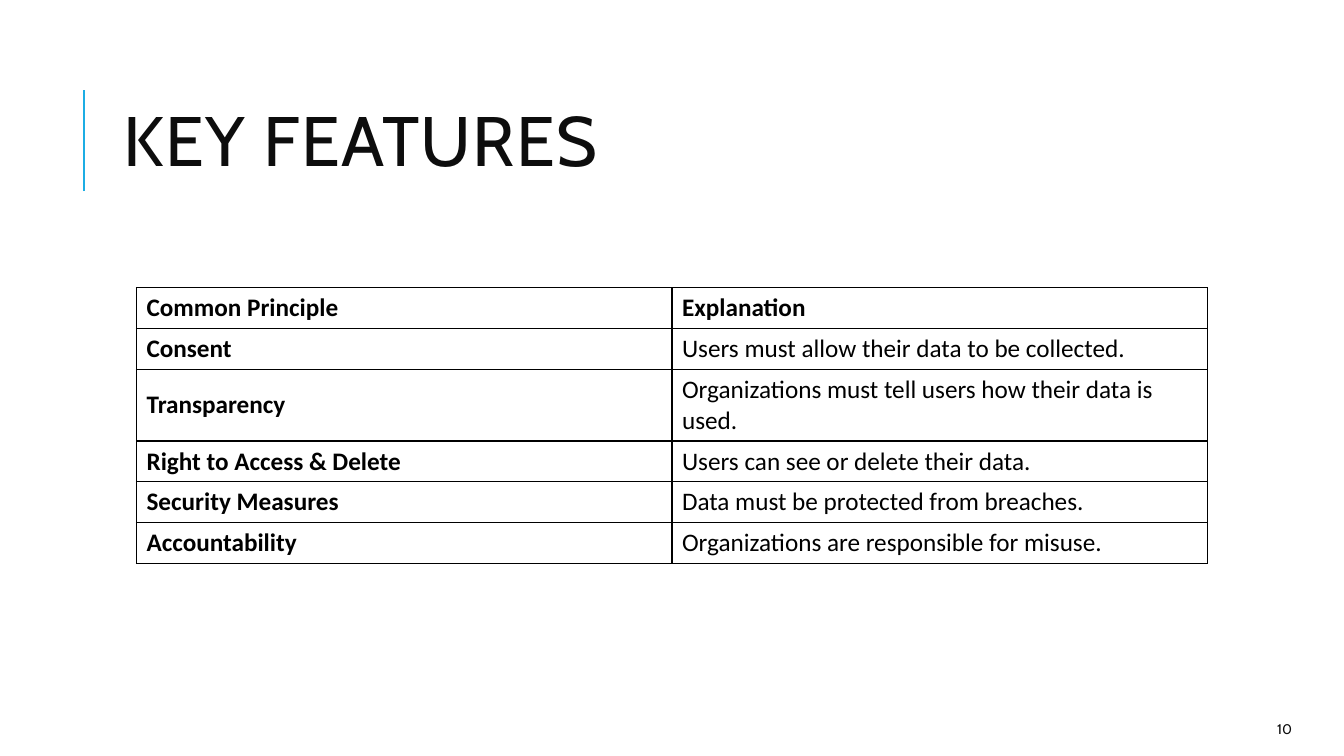
from dataclasses import dataclass

from lxml.etree import SubElement
from pptx import Presentation
from pptx.dml.color import RGBColor
from pptx.enum.shapes import MSO_CONNECTOR as Connector
from pptx.enum.text import MSO_ANCHOR as Anchor, PP_ALIGN as Align
from pptx.oxml import parse_xml
from pptx.oxml.ns import nsdecls, qn
from pptx.util import Pt

EMU_PER_PX = 9525


@dataclass(frozen=True)
class Theme:
    """Colours, fonts and type sizes of the slide."""
    accent: str = "1CADE4"
    ink: str = "0D0D0D"
    table_ink: str = "000000"
    heading_font: str = "Cabin"
    table_font: str = "Calibri"
    title_size: int = 50
    table_size: int = 18
    number_size: int = 10


THEME = Theme()

PRINCIPLES = [
    ("Common Principle", "Explanation"),
    ("Consent", "Users must allow their data to be collected."),
    ("Transparency", "Organizations must tell users how their data is used."),
    ("Right to Access & Delete", "Users can see or delete their data."),
    ("Security Measures", "Data must be protected from breaches."),
    ("Accountability", "Organizations are responsible for misuse."),
]
ROW_HEIGHTS = [39, 39, 68, 39, 39, 39]


def px(*lengths):
    """Turn pixel lengths into EMU."""
    return [length * EMU_PER_PX for length in lengths]


def style(paragraph, font_name, size, color, bold=False):
    """Set the font of a whole paragraph."""
    font = paragraph.font
    font.name, font.size, font.bold = font_name, Pt(size), bold
    font.color.rgb = RGBColor.from_string(color)


def add_label(slide, box, text, size, align=Align.LEFT):
    """Add a vertically centred line of heading type and return its paragraph."""
    frame = slide.shapes.add_textbox(*px(*box)).text_frame
    frame.word_wrap = True
    frame.vertical_anchor = Anchor.MIDDLE
    paragraph = frame.paragraphs[0]
    paragraph.text = text
    paragraph.alignment = align
    style(paragraph, THEME.heading_font, size, THEME.ink)
    return paragraph


def add_title(slide, box, text):
    """Add the title with the accent rule to its left."""
    left, top, width, height = box
    rule_left = left - 28
    rule = slide.shapes.add_connector(
        Connector.STRAIGHT, *px(rule_left, top + 121, rule_left, top + 25))
    rule.line.color.rgb = RGBColor.from_string(THEME.accent)
    rule.line.width = Pt(1.5)
    SubElement(rule._element.spPr, qn("a:effectLst"))
    paragraph = add_label(slide, box, text, THEME.title_size)
    paragraph.line_spacing = 0.8
    paragraph.runs[0]._r.get_or_add_rPr().set("spc", "100")


def add_borders(cell):
    """Draw a thin line on all four sides of a cell."""
    properties = cell._tc.get_or_add_tcPr()
    for index, side in enumerate(("lnL", "lnR", "lnT", "lnB")):
        properties.insert(index, parse_xml(
            f'<a:{side} {nsdecls("a")} w="{Pt(1)}"><a:solidFill>'
            f'<a:srgbClr val="{THEME.table_ink}"/></a:solidFill></a:{side}>'))


def add_principles(slide, box, rows, heights):
    """Add the table with a bold header row and a bold first column."""
    table = slide.shapes.add_table(len(rows), len(rows[0]), *px(*box)).table
    table.horz_banding = False
    for row, height in zip(table.rows, heights):
        row.height = px(height)[0]
    for row_index, row in enumerate(rows):
        for column_index, text in enumerate(row):
            cell = table.cell(row_index, column_index)
            cell.text = text
            cell.vertical_anchor = Anchor.MIDDLE
            cell.fill.background()
            add_borders(cell)
            style(cell.text_frame.paragraphs[0], THEME.table_font,
                  THEME.table_size, THEME.table_ink,
                  bold=row_index == 0 or column_index == 0)


def main():
    """Build the slide and save it."""
    presentation = Presentation()
    presentation.slide_width, presentation.slide_height = px(1280, 720)
    slide = presentation.slides.add_slide(presentation.slide_layouts[6])
    add_title(slide, (108, 61, 1020, 157), "KEY FEATURES")
    add_principles(slide, (130, 274, 1020, sum(ROW_HEIGHTS)), PRINCIPLES, ROW_HEIGHTS)
    add_label(slide, (1138, 680, 102, 29), "10", THEME.number_size, Align.RIGHT)
    presentation.save("out.pptx")


if __name__ == "__main__":
    main()
